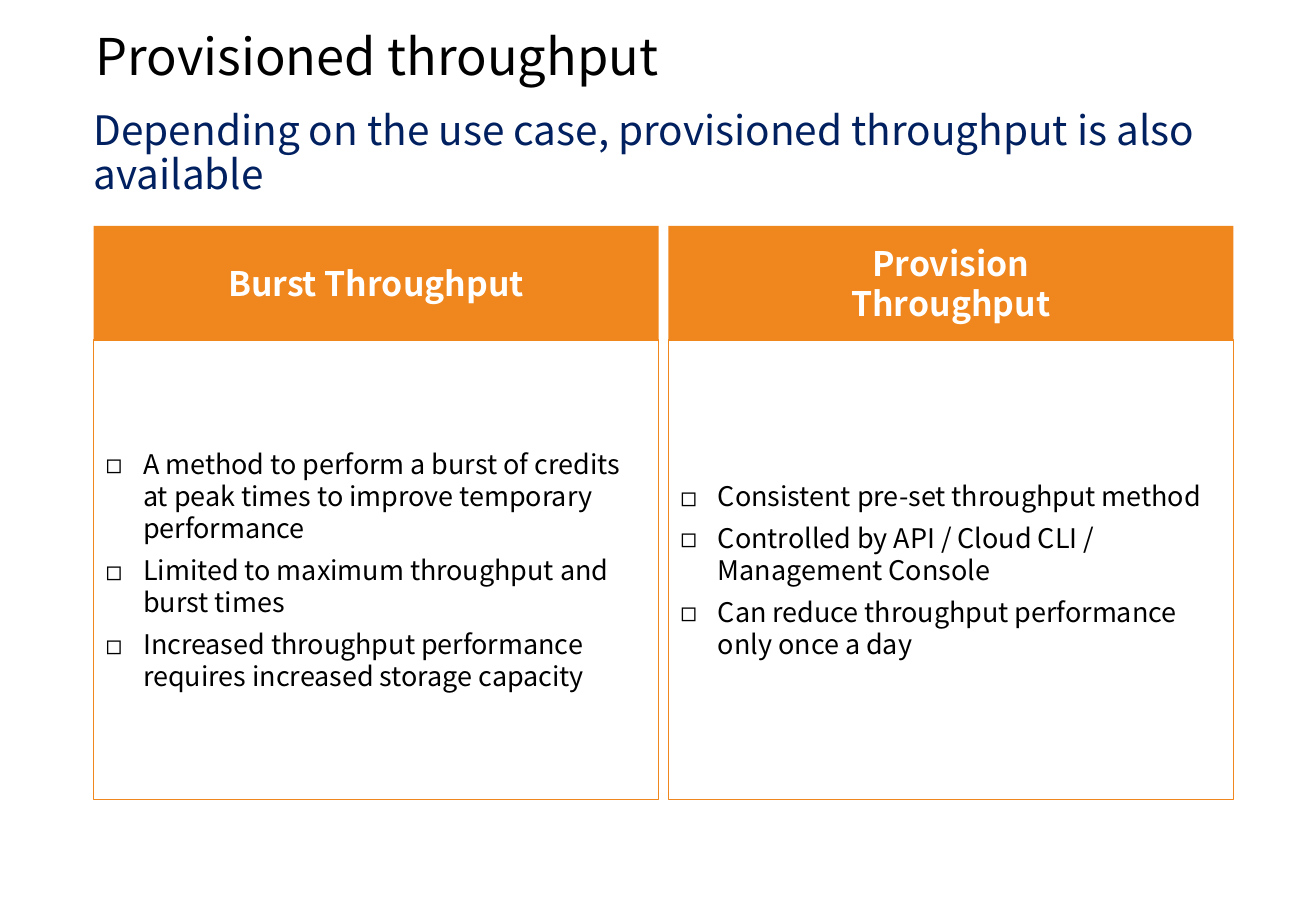
from lxml import etree
from pptx import Presentation
from pptx.dml.color import RGBColor
from pptx.enum.shapes import MSO_SHAPE
from pptx.enum.text import MSO_ANCHOR, PP_ALIGN
from pptx.oxml.ns import qn
from pptx.util import Inches, Pt

FONT = "Noto Sans CJK JP"
ORANGE, NAVY, BLACK, WHITE = "F0861E", "002060", "000000", "FFFFFF"
LEFT, TOP, COLUMN_WIDTH, GAP = 0.77, 1.86, 4.65, 0.08
HEADER_HEIGHT, BODY_HEIGHT = 0.94, 3.78
BULLET_INDENT = Inches(0.31)

COLUMNS = [
    ("Burst Throughput", [
        "A method to perform a burst of credits at peak times to improve temporary performance",
        "Limited to maximum throughput and burst times",
        "Increased throughput performance requires increased storage capacity",
    ]),
    ("Provision\vThroughput", [
        "Consistent pre-set throughput method",
        "Controlled by API / Cloud CLI / Management Console",
        "Can reduce throughput performance only once a day",
    ]),
]


def color(hex_value):
    return RGBColor.from_string(hex_value)


def style_runs(paragraph, size, hex_value, bold=False):
    for run in paragraph.runs:
        run.font.name = FONT
        run.font.size = Pt(size)
        run.font.bold = bold
        run.font.color.rgb = color(hex_value)
        for tag in ("a:ea", "a:cs"):
            etree.SubElement(run.font._element, qn(tag), typeface=FONT)


def add_heading(slide, box, text, size, hex_value, side_inset):
    frame = slide.shapes.add_textbox(*map(Inches, box)).text_frame
    frame.word_wrap = True
    frame.margin_left = frame.margin_right = Inches(side_inset)
    frame.margin_top = frame.margin_bottom = Inches(0.04)
    frame.text = text
    paragraph = frame.paragraphs[0]
    paragraph.line_spacing = 0.9
    style_runs(paragraph, size, hex_value)


def add_panel(slide, box, fill, text):
    """Add a rectangle with vertically centred text and return it."""
    shape = slide.shapes.add_shape(MSO_SHAPE.RECTANGLE, *map(Inches, box))
    shape.shadow.inherit = False
    shape.fill.solid()
    shape.fill.fore_color.rgb = color(fill)
    shape.line.fill.background()
    frame = shape.text_frame
    frame.word_wrap = True
    frame.vertical_anchor = MSO_ANCHOR.MIDDLE
    frame.text = text
    return shape


def add_bullet(paragraph):
    properties = paragraph._p.get_or_add_pPr()
    properties.set("marL", str(BULLET_INDENT))
    properties.set("indent", str(-BULLET_INDENT))
    etree.SubElement(properties, qn("a:buFont"), typeface=FONT)
    etree.SubElement(properties, qn("a:buChar"), char="◻")


def add_column(slide, box, header, points):
    left, top, width, height = box
    body_box = (left, top + HEADER_HEIGHT, width, height - HEADER_HEIGHT)
    body = add_panel(slide, body_box, WHITE, "\n".join(points))
    body.line.color.rgb = color(ORANGE)
    body.line.width = Pt(0.75)
    for index, paragraph in enumerate(body.text_frame.paragraphs):
        add_bullet(paragraph)
        paragraph.alignment = PP_ALIGN.LEFT
        if index:
            paragraph.space_before = Pt(5.5)
        style_runs(paragraph, 16, BLACK)

    title = add_panel(slide, (left, top, width, HEADER_HEIGHT), ORANGE, header)
    paragraph = title.text_frame.paragraphs[0]
    paragraph.alignment = PP_ALIGN.CENTER
    style_runs(paragraph, 20, WHITE, bold=True)


def main():
    presentation = Presentation()
    presentation.slide_width = Inches(10.83)
    presentation.slide_height = Inches(7.5)
    slide = presentation.slides.add_slide(presentation.slide_layouts[6])

    add_heading(slide, (0.69, 0.22, 9.45, 0.55), "Provisioned throughput", 30, BLACK, 0.1)
    add_heading(slide, (0.69, 0.87, 9.69, 0.36),
                "Depending on the use case, provisioned throughput is also available",
                24, NAVY, 0.08)
    for index, (header, points) in enumerate(COLUMNS):
        left = LEFT + index * (COLUMN_WIDTH + GAP)
        box = (left, TOP, COLUMN_WIDTH, HEADER_HEIGHT + BODY_HEIGHT)
        add_column(slide, box, header, points)

    presentation.save("out.pptx")


if __name__ == "__main__":
    main()
